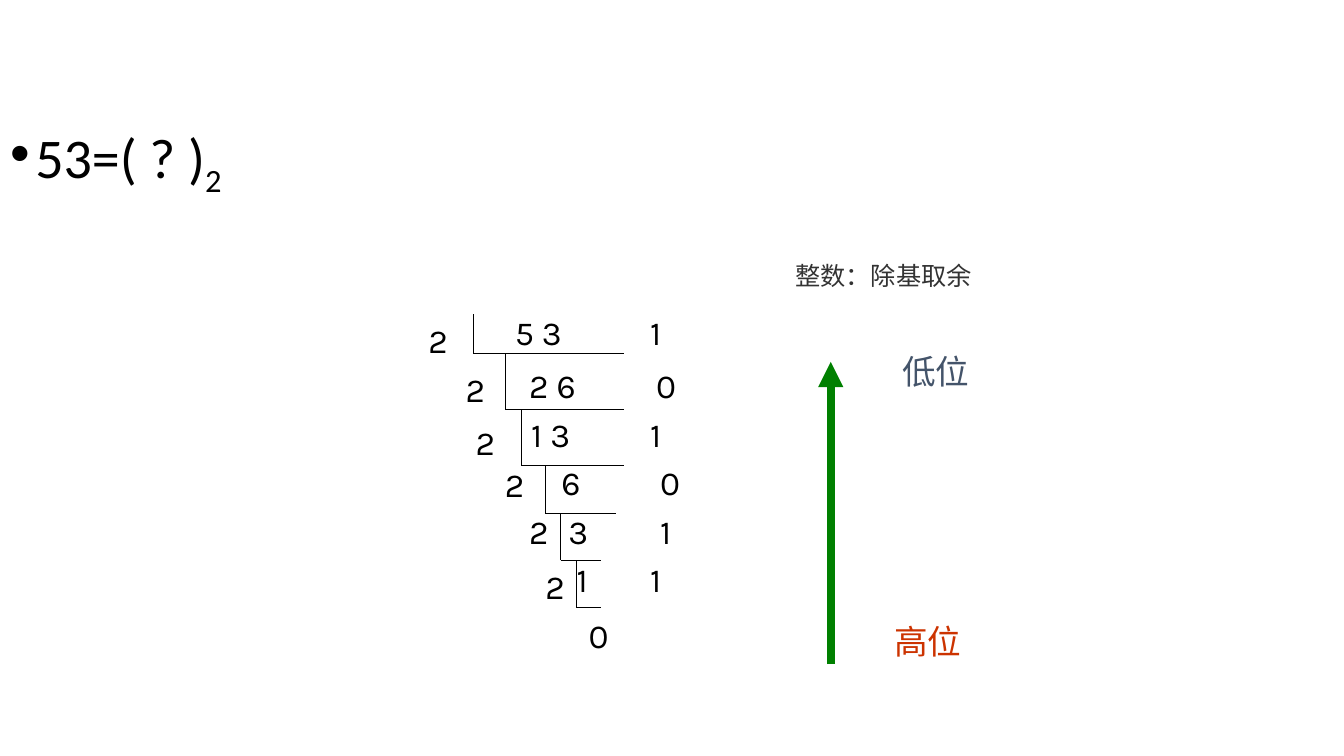
from pptx import Presentation
from pptx.dml.color import RGBColor
from pptx.enum.shapes import MSO_CONNECTOR
from pptx.enum.text import MSO_ANCHOR, MSO_AUTO_SIZE
from pptx.oxml.ns import qn
from pptx.util import Inches, Pt
from lxml import etree

STRAIGHT = MSO_CONNECTOR.STRAIGHT
TOP = MSO_ANCHOR.TOP
GROW = MSO_AUTO_SIZE.SHAPE_TO_FIT_TEXT
FIXED = MSO_AUTO_SIZE.NONE
HAN = "Noto Sans CJK SC"


def color(code):
    return RGBColor.from_string(code)


def add(root, tag, **attrs):
    return etree.SubElement(root, qn(tag), attrs)


def write(para, text, size=24, font="Karla", ink="000000", base=None):
    run = para.add_run()
    run.text = text
    run.font.size = Pt(size)
    run.font.name = font
    run.font.color.rgb = color(ink)
    props = run.font._element
    add(props, "a:ea", typeface=HAN)
    if base:
        props.set("baseline", str(base * 1000))


class Board:
    def __init__(self, slide):
        self.slide = slide

    def head(self, shape, box, text, sub):
        shape.left, shape.top, shape.width, shape.height = map(Inches, box)
        frame = shape.text_frame
        frame.auto_size = FIXED
        frame.vertical_anchor = TOP
        para = frame.paragraphs[0]
        props = para._p.get_or_add_pPr()
        props.set("marL", str(Inches(0.25)))
        props.set("indent", str(-Inches(0.25)))
        add(props, "a:buFont", typeface="Arial")
        add(props, "a:buChar", char="•")
        para.line_spacing = 0.9
        para.space_before = Pt(0)
        write(para, text, size=40, font="Calibri")
        write(para, sub, size=40, font="Calibri", base=-25)

    def label(self, x, y, w, h, text, wrap=False, tab=None, **style):
        shape = self.slide.shapes.add_textbox(*map(Inches, (x, y, w, h)))
        frame = shape.text_frame
        frame.word_wrap = wrap
        frame.auto_size = GROW
        para = frame.paragraphs[0]
        if tab:
            stops = add(para._p.get_or_add_pPr(), "a:tabLst")
            add(stops, "a:tab", pos=str(Inches(tab)), algn="l")
        write(para, text, **style)

    def line(self, x1, y1, x2, y2, ink="000000", width=0.75, arrow=False):
        ends = map(Inches, (x1, y1, x2, y2))
        link = self.slide.shapes.add_connector(STRAIGHT, *ends)
        link.line.color.rgb = color(ink)
        link.line.width = Pt(width)
        if arrow:
            add(link.line._ln, "a:tailEnd", type="triangle")
        add(link._element.spPr, "a:effectLst")


# Division steps: number, left, top, width; remainder and its left;
# divisor left, top; bracket left, bottom, right
STEPS = [
    ("5 3", 5.01, 3.04, 2.04, "1", 6.45, 4.15, 3.12, 4.70, 3.51, 6.19),
    ("2 6", 5.15, 3.57, 3.17, "0", 6.51, 4.52, 3.61, 5.01, 4.06, 6.19),
    ("1 3", 5.17, 4.06, 2.75, "1", 6.45, 4.62, 4.14, 5.17, 4.62, 6.19),
    ("6", 5.47, 4.53, 2.36, "0", 6.55, 4.91, 4.55, 5.41, 5.09, 6.11),
    ("3", 5.54, 5.02, 2.46, "1", 6.55, 5.15, 5.02, 5.56, 5.56, 5.96),
    ("1", 5.62, 5.50, 2.57, "1", 6.45, 5.31, 5.57, 5.72, 6.03, 5.96),
]


def main():
    deck = Presentation()
    deck.slide_width, deck.slide_height = Inches(13.33), Inches(7.5)
    slide = deck.slides.add_slide(deck.slide_layouts[1])
    title, body = slide.placeholders
    title._element.getparent().remove(title._element)
    board = Board(slide)

    # Question
    board.head(body, (0, 1.17, 8.94, 6.17), "53=( ? )", "2")

    # Repeated division by 2; each bracket starts where the last one ends
    top = 3.12
    for num, x, y, w, rem, rx, dx, dy, left, low, right in STEPS:
        board.label(x, y, w, 0.51, f"{num}\t{rem}", wrap=True,
                    tab=rx - x - 0.1)
        board.label(dx, dy, 0.38, 0.5, "2")
        board.line(left, top, left, low)
        board.line(left, low, right, low)
        top = low
    board.label(5.74, 6.05, 1.44, 0.51, "0")

    # Reading order, from high to low digit
    board.line(8.24, 6.59, 8.24, 3.59, ink="008000", width=6, arrow=True)
    board.label(8.85, 3.43, 0.87, 0.5, "低位", ink="44546A")
    board.label(8.77, 6.11, 0.87, 0.5, "高位", ink="CC3300")
    board.label(7.79, 2.53, 5.11, 0.4, "整数：除基取余", wrap=True,
                size=18, font=HAN, ink="333333")

    deck.save("out.pptx")


if __name__ == "__main__":
    main()
